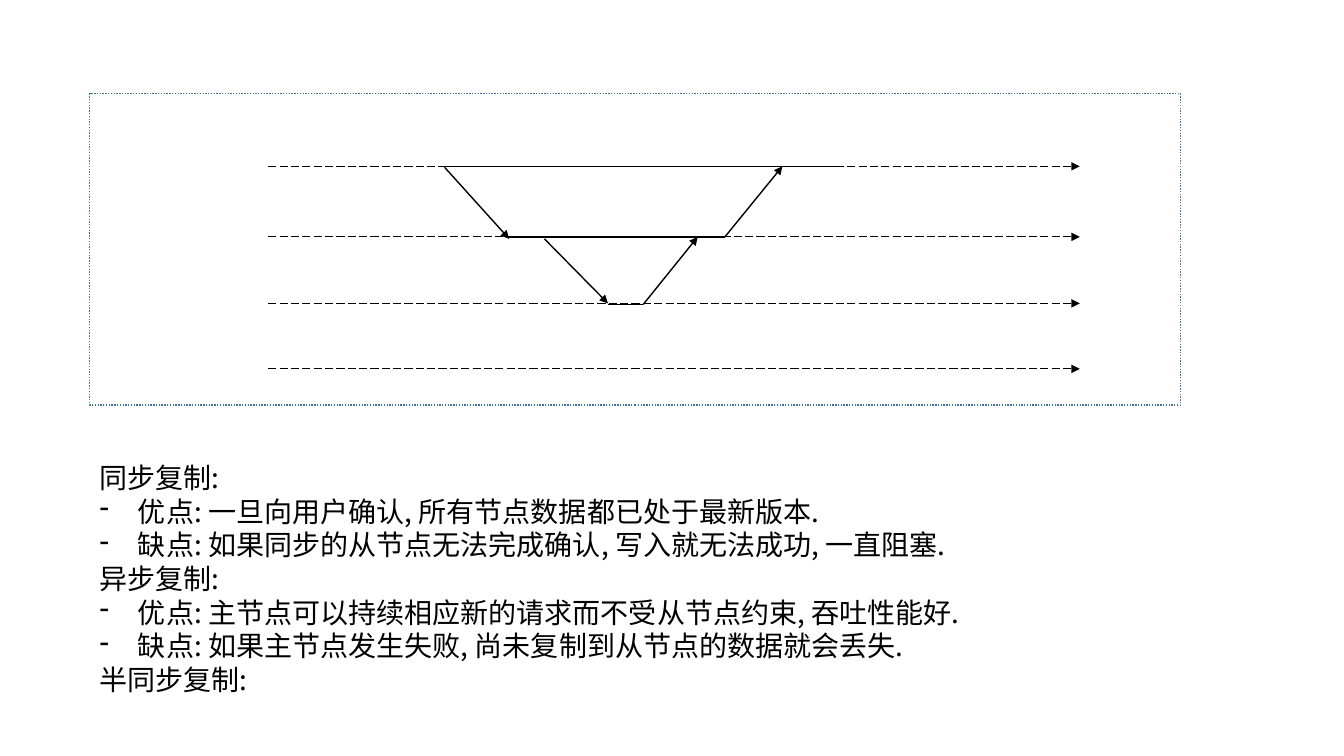
from dataclasses import dataclass

from lxml import etree
from pptx import Presentation
from pptx import util as u
from pptx.dml import color
from pptx.enum import dml, shapes, text
from pptx.oxml import ns


@dataclass(frozen=True)
class Theme:
    ink: color.RGBColor = color.RGBColor(0, 0, 0)
    frame: color.RGBColor = color.RGBColor(0x43, 0x73, 0x9E)
    font: str = "Noto Sans CJK SC"
    body: u.Pt = u.Pt(20)
    leading: u.Pt = u.Pt(24)
    thin: u.Pt = u.Pt(0.75)
    normal: u.Pt = u.Pt(1)


@dataclass(frozen=True)
class Stroke:
    start: tuple[float, float]
    end: tuple[float, float]
    arrow: bool = False
    dashed: bool = False


@dataclass(frozen=True)
class Note:
    wording: str
    bullet: bool = False


THEME = Theme()
LEFT, WIDTH = 0.89, 10.82
CLIENT, LEADER, FOLLOWER, ASYNC_FOLLOWER = 1.65, 2.35, 3.01, 3.66
TIMELINES = [
    Stroke((2.66, y), (10.71, y), arrow=True, dashed=True)
    for y in (CLIENT, LEADER, FOLLOWER, ASYNC_FOLLOWER)
]
ACTIVITY = [
    Stroke((4.34, CLIENT), (8.29, CLIENT)),
    Stroke((5.05, LEADER), (7.19, LEADER)),
    Stroke((6.03, FOLLOWER + 0.01), (6.38, FOLLOWER + 0.01)),
]
MESSAGES = [
    Stroke((4.41, CLIENT + 0.01), (5.05, LEADER + 0.02), arrow=True),
    Stroke((5.4, LEADER + 0.02), (6.03, FOLLOWER), arrow=True),
    Stroke((6.38, FOLLOWER + 0.01), (6.92, LEADER), arrow=True),
    Stroke((7.19, LEADER), (7.76, CLIENT), arrow=True),
]
NOTES = [
    Note("同步复制:"),
    Note("优点: 一旦向用户确认, 所有节点数据都已处于最新版本.", True),
    Note("缺点: 如果同步的从节点无法完成确认, 写入就无法成功, 一直阻塞.", True),
    Note("异步复制:"),
    Note("优点: 主节点可以持续相应新的请求而不受从节点约束, 吞吐性能好.", True),
    Note("缺点: 如果主节点发生失败, 尚未复制到从节点的数据就会丢失.", True),
    Note("半同步复制:"),
]


def apply_format(target, values: dict) -> None:
    for name, value in values.items():
        setattr(target, name, value)


def draw_frame(slide) -> None:
    shape = slide.shapes.add_shape(
        shapes.MSO_SHAPE.RECTANGLE,
        u.Inches(LEFT), u.Inches(0.93), u.Inches(WIDTH), u.Inches(3.09),
    )
    shape.shadow.inherit = False
    shape.fill.background()
    shape.line.color.rgb = THEME.frame
    apply_format(shape.line, {"width": THEME.normal, "dash_style": dml.MSO_LINE.ROUND_DOT})


def draw_stroke(slide, stroke: Stroke) -> None:
    connector = slide.shapes.add_connector(
        shapes.MSO_CONNECTOR.STRAIGHT,
        *(u.Inches(value) for value in stroke.start + stroke.end),
    )
    line = connector.line
    line.color.rgb = THEME.ink
    line.width = THEME.thin if stroke.dashed else THEME.normal
    if stroke.dashed:
        line.dash_style = dml.MSO_LINE.LONG_DASH
    properties = connector._element.spPr
    if stroke.arrow:
        outline = properties.find(ns.qn("a:ln"))
        etree.SubElement(outline, ns.qn("a:tailEnd"), type="triangle")
    etree.SubElement(properties, ns.qn("a:effectLst"))


def write_note(paragraph, note: Note) -> None:
    paragraph.line_spacing = THEME.leading
    if note.bullet:
        properties = paragraph._p.get_or_add_pPr()
        indent = u.Inches(0.38)
        properties.set("marL", str(indent))
        properties.set("indent", str(-indent))
        etree.SubElement(properties, ns.qn("a:buChar"), char="-")
    run = paragraph.add_run()
    run.text = note.wording
    apply_format(run.font, {"name": THEME.font, "size": THEME.body})
    run.font.color.rgb = THEME.ink
    etree.SubElement(run._r.get_or_add_rPr(), ns.qn("a:ea"), typeface=THEME.font)


def draw_notes(slide, notes: list[Note]) -> None:
    box = slide.shapes.add_textbox(
        u.Inches(LEFT), u.Inches(4.52), u.Inches(WIDTH), u.Inches(2.46)
    )
    frame = box.text_frame
    apply_format(frame, {
        "word_wrap": True,
        "auto_size": text.MSO_AUTO_SIZE.SHAPE_TO_FIT_TEXT,
    })
    for index, note in enumerate(notes):
        paragraph = frame.add_paragraph() if index else frame.paragraphs[0]
        write_note(paragraph, note)


def main() -> None:
    presentation = Presentation()
    apply_format(presentation, {
        "slide_width": u.Inches(13.33),
        "slide_height": u.Inches(7.5),
    })
    slide = presentation.slides.add_slide(presentation.slide_layouts[6])
    draw_frame(slide)
    for stroke in TIMELINES + ACTIVITY + MESSAGES:
        draw_stroke(slide, stroke)
    draw_notes(slide, NOTES)
    presentation.save("out.pptx")


main()
